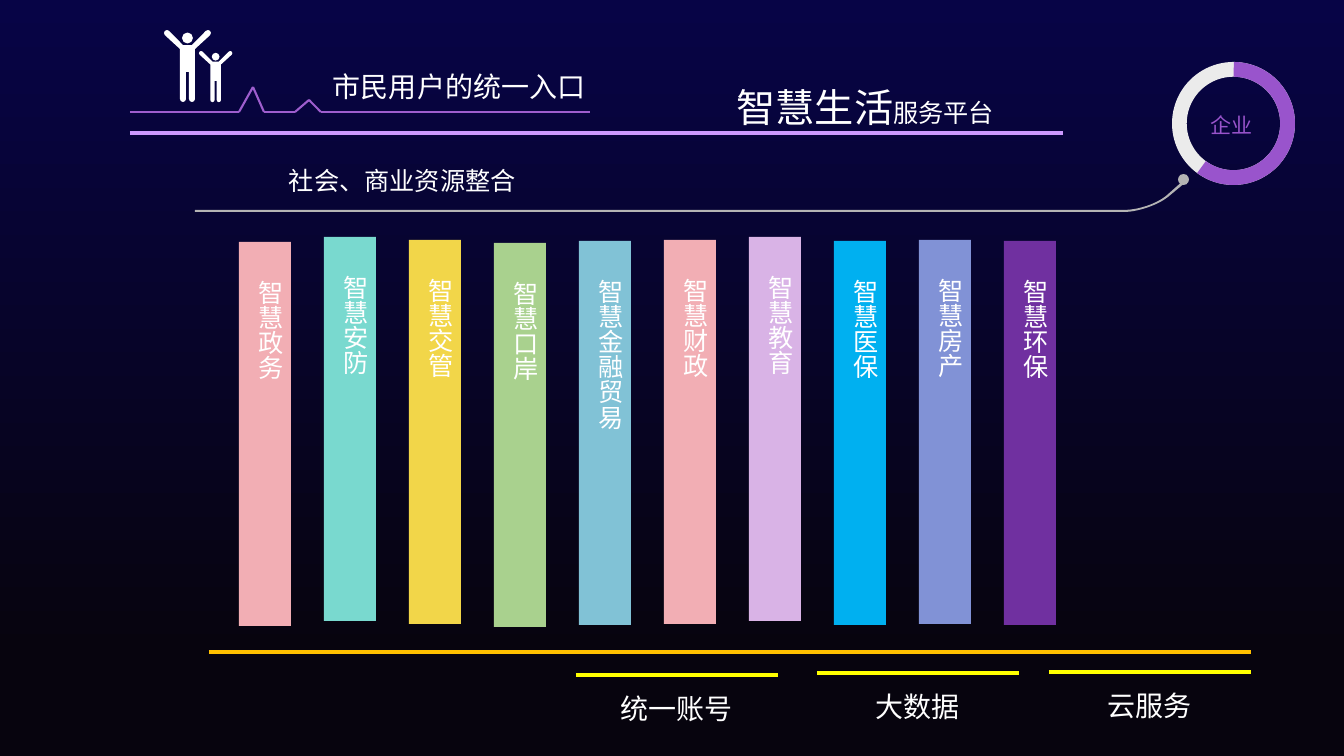
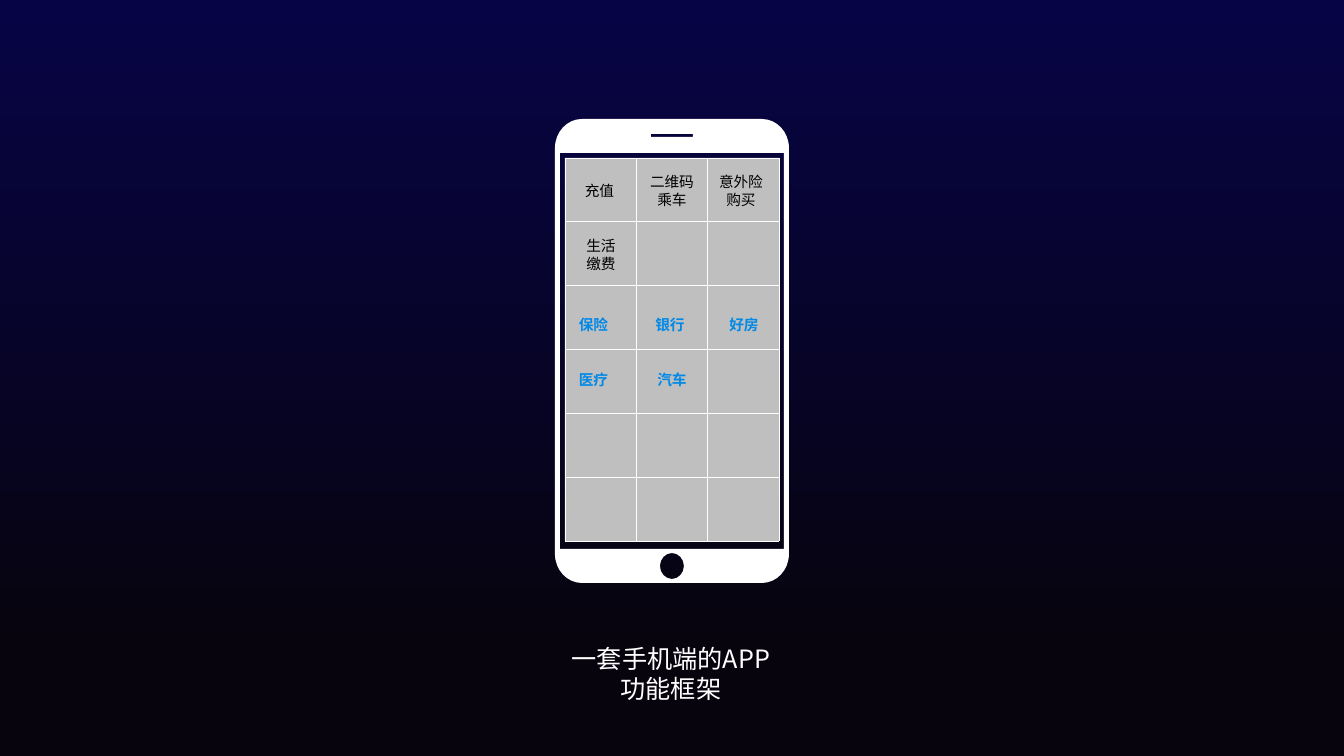
import itertools
import math

import pptx
import pptx.dml.color
import pptx.enum.shapes
import pptx.enum.text
import pptx.oxml.ns
import pptx.util
from lxml import etree

RGB = pptx.dml.color.RGBColor
KIND = pptx.enum.shapes.MSO_SHAPE
ALIGN = pptx.enum.text.PP_ALIGN
ANCHOR = pptx.enum.text.MSO_ANCHOR
FIT = pptx.enum.text.MSO_AUTO_SIZE
qn = pptx.oxml.ns.qn

FONT = "Noto Sans CJK JP"
SCALE = 914400 / 100.8  # EMU in one px
WIDE, HIGH = 1344, 756

NAVY = RGB(0x07, 0x04, 0x46)
NIGHT = RGB(0x07, 0x04, 0x0E)
WHITE = RGB(0xFF, 0xFF, 0xFF)
BLACK = RGB(0x00, 0x00, 0x00)
ORANGE = RGB(0xFF, 0xC0, 0x00)
YELLOW = RGB(0xFF, 0xFF, 0x00)
PURPLE = RGB(0x9E, 0x5E, 0xCE)
LILAC = RGB(0xCC, 0x99, 0xFF)
VIOLET = RGB(0x99, 0x54, 0xCC)
GRAY = RGB(0xB4, 0xB4, 0xB4)
PALE = RGB(0xEB, 0xEB, 0xEB)
SCREEN = RGB(0xBF, 0xBF, 0xBF)
BLUE = RGB(0x00, 0x89, 0xE6)
PINK = RGB(0xF2, 0xAE, 0xB4)
MINT = RGB(0x79, 0xD9, 0xCF)
GOLD = RGB(0xF2, 0xD6, 0x49)
GREEN = RGB(0xA9, 0xD1, 0x8E)
TEAL = RGB(0x81, 0xC2, 0xD6)
MAUVE = RGB(0xD9, 0xB3, 0xE6)
SKY = RGB(0x00, 0xB0, 0xF0)
IRIS = RGB(0x81, 0x92, 0xD6)
PLUM = RGB(0x70, 0x30, 0xA0)

# Label, colour and top of each bar
BARS = [
    ("智慧政务", PINK, 242), ("智慧安防", MINT, 237), ("智慧交管", GOLD, 240),
    ("智慧口岸", GREEN, 243), ("智慧金融贸易", TEAL, 241), ("智慧财政", PINK, 240),
    ("智慧教育", MAUVE, 237), ("智慧医保", SKY, 241), ("智慧房产", IRIS, 240),
    ("智慧环保", PLUM, 241),
]
BASES = [("统一账号", 576, 675), ("大数据", 817, 673), ("云服务", 1049, 672)]

# Label, box inside the phone and format
PLAIN = dict(size=10.5, color=BLACK)
STRONG = dict(size=10.5, color=BLUE, bold=True)
MID = dict(align=ALIGN.CENTER)
APPS = [
    ("充值", (20, 58, 51, 28), PLAIN),
    ("二维码乘车", (82, 49, 70, 45), PLAIN | MID),
    ("意外险购买", (151, 49, 70, 45), PLAIN | MID),
    ("生活\n缴费", (11, 113, 70, 45), PLAIN | MID),
    ("保险", (14, 192, 63, 28), STRONG),
    ("银行", (80, 192, 70, 28), STRONG | MID),
    ("好房", (154, 192, 70, 28), STRONG | MID),
    ("医疗", (14, 247, 63, 28), STRONG),
    ("汽车", (82, 247, 70, 28), STRONG | MID),
]


def px(num):
    return pptx.util.Emu(round(num * SCALE))


def text(slide, box, words, size=18, color=WHITE, bold=False, align=ALIGN.LEFT,
         anchor=ANCHOR.TOP, wrap=True, space=None, vert=None):
    """Words are a string, or a list of (string, size) runs on one line."""
    frame = slide.shapes.add_textbox(*map(px, box)).text_frame
    frame.word_wrap = wrap
    frame.vertical_anchor = anchor
    frame.auto_size = FIT.SHAPE_TO_FIT_TEXT if wrap else FIT.NONE
    if vert:
        frame._txBody.find(qn("a:bodyPr")).set("vert", vert)
    rows = [[(row, size)] for row in words.split("\n")] if isinstance(words, str) else [words]
    for num, row in enumerate(rows):
        para = frame.add_paragraph() if num else frame.paragraphs[0]
        para.alignment = align
        if space:
            para.line_spacing = space
        for part, points in row:
            run = para.add_run()
            run.text = part
            font = run.font
            font.name, font.size, font.bold = FONT, pptx.util.Pt(points), bold
            font.color.rgb = color
            east = etree.SubElement(run._r.get_or_add_rPr(), qn("a:ea"))
            east.set("typeface", FONT)


def paint(item, fill):
    item.shadow.inherit = False
    item.fill.solid()
    item.fill.fore_color.rgb = fill
    item.line.fill.background()


def shape(slide, kind, box, fill, *adjust):
    item = slide.shapes.add_shape(kind, *map(px, box))
    for num, value in enumerate(adjust):
        item.adjustments[num] = value
    paint(item, fill)


def line(slide, start, end, color, width):
    item = slide.shapes.add_connector(
        pptx.enum.shapes.MSO_CONNECTOR.STRAIGHT, *map(px, (*start, *end)))
    item.line.color.rgb = color
    item.line.width = pptx.util.Pt(width)
    etree.SubElement(item._element.spPr, qn("a:effectLst"))


def arc(x, y, wide, high, start, turns):
    """A first point, then one curve of three points for each quarter turn."""
    def spot(angle, pull=0):
        c, s = math.cos(math.radians(angle)), math.sin(math.radians(angle))
        return x + wide * (c - pull * s), y + high * (s + pull * c)

    steps = [start + 90 * n for n in range(turns + 1)]
    return [spot(start)] + [
        (spot(a, 0.55), spot(b, -0.55), spot(b)) for a, b in itertools.pairwise(steps)]


def rect(x, y, wide, high):
    return [(x, y), (x + wide, y), (x + wide, y + high), (x, y + high)]


def outline(slide, left, top, loops, color):
    """Draw closed loops of points; a step of three points is a curve."""
    build, bends = None, []
    for loop in loops:
        steps = [step if isinstance(step[0], tuple) else (step,) for step in loop]
        bends += [len(step) == 3 for step in steps[1:]]
        first, *rest = [(px(left + x), px(top + y)) for step in steps for x, y in step]
        if build:
            build.move_to(*first)
        else:
            build = slide.shapes.build_freeform(*first, scale=1.0)
        build.add_line_segments(rest, close=True)
    item = build.convert_to_shape()
    parts = iter(list(item._element.iter(qn("a:lnTo"))))
    for bend in bends:
        part = next(parts)
        if bend:
            part.tag = qn("a:cubicBezTo")
            for extra in itertools.islice(parts, 2):
                part.append(extra[0])
                extra.getparent().remove(extra)
    paint(item, color)


def person(left, top, zoom):
    def at(x, y, *rest):
        return arc(left + x * zoom, top + y * zoom, rest[0] * zoom, rest[0] * zoom, *rest[1:])

    def dots(*spots):
        return [(left + x * zoom, top + y * zoom) for x, y in spots]

    body = [
        *at(3, 3, 3, 135, 2), *dots((19, 15), (28, 15)),
        *at(44, 3, 3, 225, 2), *dots((31, 19)),
        *at(28, 69, 3, 0, 2), *dots((25, 42), (22, 42)),
        *at(19, 69, 3, 0, 2), *dots((16, 19)),
    ]
    return [at(23.5, 8, 5.5, 0, 4), body]


def head(slide, left, top):
    # Pulse line with two peaks
    pulse = [(0, 42), (109, 42), (123, 17), (134, 42), (165, 42),
             (179, 30), (191, 42), (460, 42)]
    spots = [(left + x, top + y) for x, y in pulse]
    for start, end in itertools.pairwise(spots):
        line(slide, start, end, PURPLE, 1.5)
    line(slide, (left, top + 63), (left + 933, top + 63), LILAC, 2.25)
    # Parent and child
    pair = person(0, 0, 1) + person(35, 21, 0.71)
    outline(slide, left + 34, top - 40, pair, WHITE)
    # Titles
    text(slide, (left + 193, top - 2, 500, 40), "市民用户的统一入口", size=20, space=0.9)
    text(slide, (left + 547, top + 8, 327, 57),
         [("智慧生活", 28), ("服务平台", 18)], align=ALIGN.RIGHT)
    text(slide, (left + 149, top + 90, 415, 40), "社会、商业资源整合")


def ring(slide, left, top):
    # Trail that leads to the ring
    trail = [
        (-977, 148), (-48, 148), ((-34, 148), (-16, 142), (-6, 134)), (12, 118),
        (14, 120), (-4, 135), ((-14, 143), (-34, 150), (-48, 150)), (-977, 150),
    ]
    outline(slide, left, top, [trail], GRAY)
    shape(slide, KIND.OVAL, (left + 6, top + 112, 11, 11), GRAY)
    # Ring with its share
    box = (left, top, 123, 123)
    shape(slide, KIND.DONUT, box, PALE, 0.12)
    shape(slide, KIND.BLOCK_ARC, box, VIOLET, 162.17, 75.76, 0.12)
    text(slide, (left + 9, top + 42, 102, 42), "企业", size=15, color=VIOLET,
         align=ALIGN.CENTER, anchor=ANCHOR.MIDDLE, wrap=False)


def bars(slide, left, step):
    for num, (name, color, top) in enumerate(BARS):
        x = left + num * step
        shape(slide, KIND.RECTANGLE, (x, top, 52, 384), color)
        text(slide, (x + 1, top + 28, 50, 327), name, vert="eaVert")


def base(slide, left, top):
    line(slide, (left, top), (left + 1042, top), ORANGE, 3)
    for name, x, y in BASES:
        line(slide, (x, y), (x + 202, y), YELLOW, 2.25)
        text(slide, (x - 20, y + 15, 241, 40), name, size=20,
             align=ALIGN.CENTER, space=0.9)


def phone(slide, left, top):
    # Case with openings for screen, speaker and button
    wide, high, rx, ry = 234, 464, 27, 29
    case = [
        *arc(rx, ry, rx, ry, 180, 1), *arc(wide - rx, ry, rx, ry, 270, 1),
        *arc(wide - rx, high - ry, rx, ry, 0, 1), *arc(rx, high - ry, rx, ry, 90, 1),
    ]
    holes = [rect(5, 34, 224, 396), rect(96, 15, 42, 3), arc(117, 447, 12, 13, 0, 4)]
    outline(slide, left, top, [case, *holes], WHITE)
    # Grid of apps
    x, y, span, tall, cols, rows = left + 10, top + 39, 214, 383, 3, 6
    shape(slide, KIND.RECTANGLE, (x, y, span, tall), SCREEN)
    for num in range(rows + 1):
        level = y + tall * num / rows
        line(slide, (x, level), (x + span, level), WHITE, 0.5)
    for num in range(cols + 1):
        edge = x + span * num / cols
        line(slide, (edge, y), (edge, y + tall), WHITE, 0.5)
    for name, (dx, dy, *size), style in APPS:
        text(slide, (left + dx, top + dy, *size), name, **style)
    # Caption
    text(slide, (left - 1, top + 519, 234, 72), "一套手机端的APP\n功能框架",
         align=ALIGN.CENTER)


def backdrop(deck):
    fill = deck.slide_master.background.fill
    fill.gradient()
    fill.gradient_angle = 270
    for stop, place, color in zip(fill.gradient_stops, (0, 0.87), (NAVY, NIGHT)):
        stop.position = place
        stop.color.rgb = color


def main():
    deck = pptx.Presentation()
    deck.slide_width, deck.slide_height = px(WIDE), px(HIGH)
    backdrop(deck)
    blank = deck.slide_layouts[6]

    city = deck.slides.add_slide(blank)
    base(city, 209, 652)
    head(city, 130, 70)
    bars(city, 239, 85)
    ring(city, 1172, 62)

    phone(deck.slides.add_slide(blank), 555, 119)
    deck.save("out.pptx")


if __name__ == "__main__":
    main()
